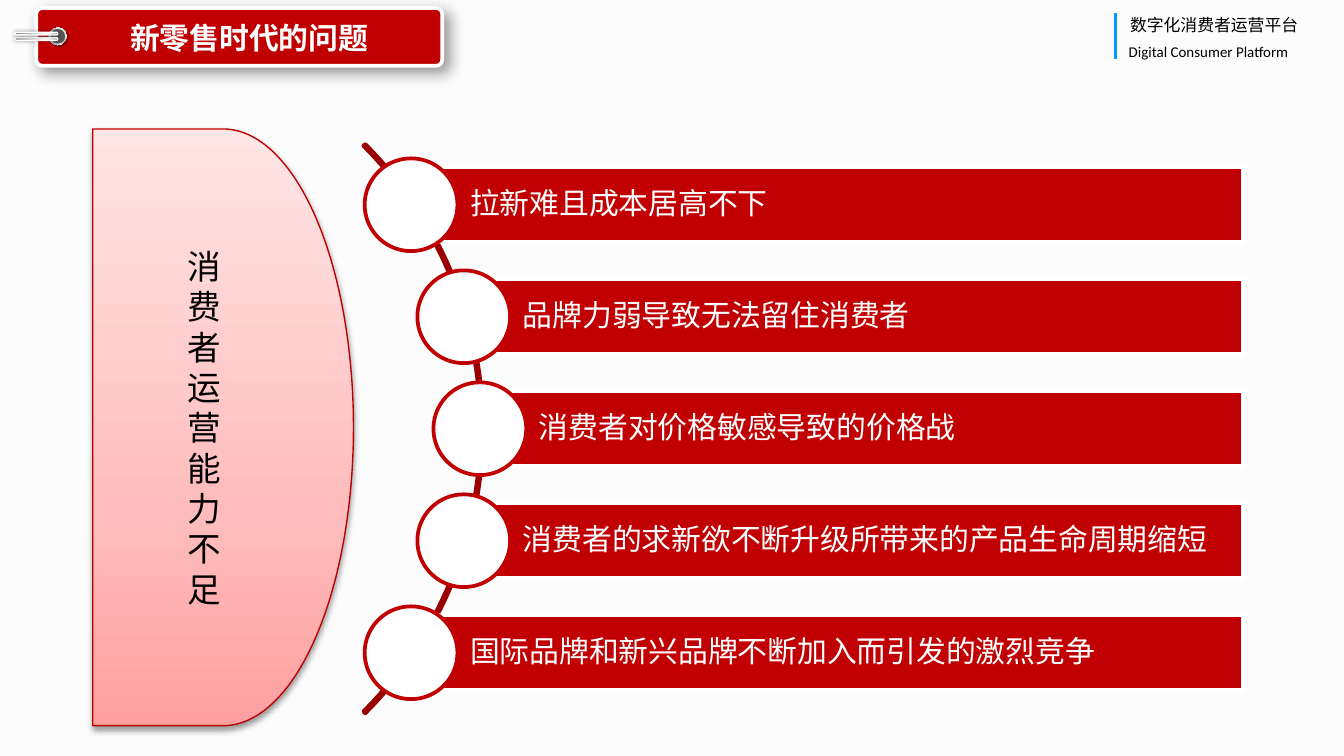
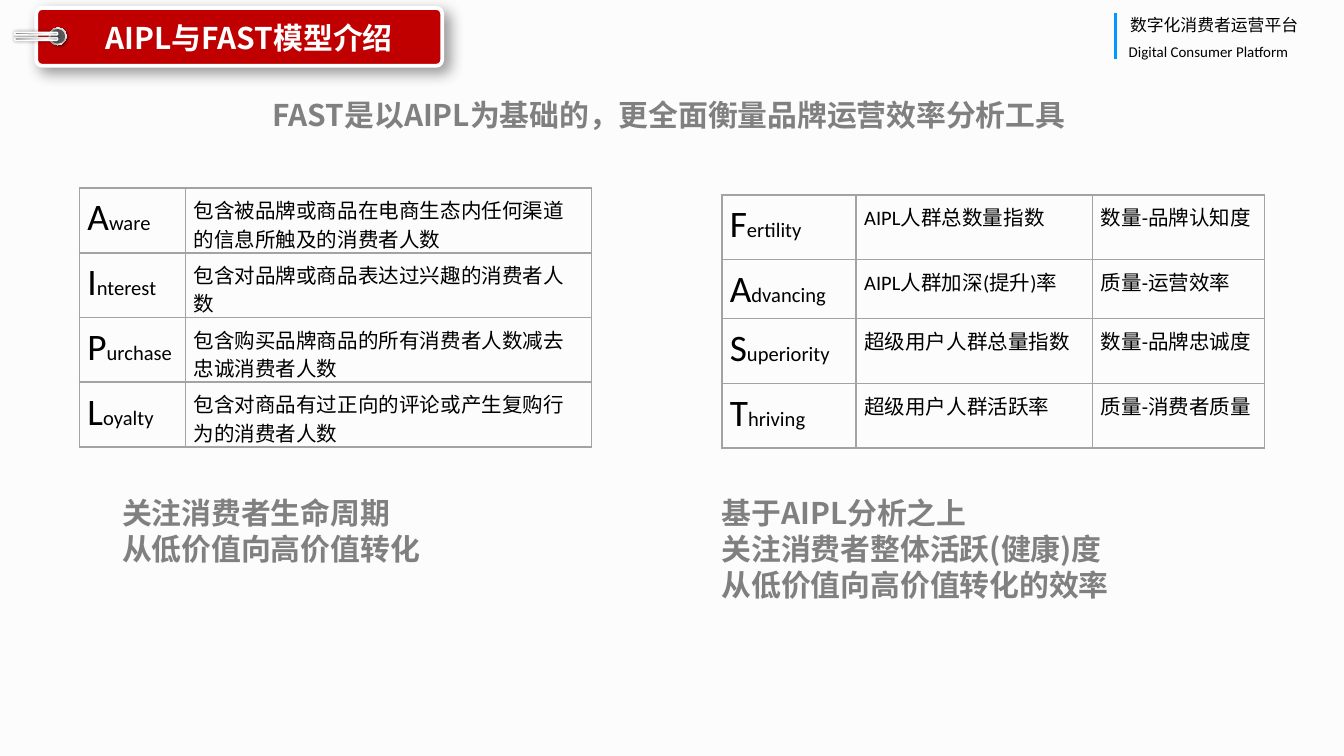
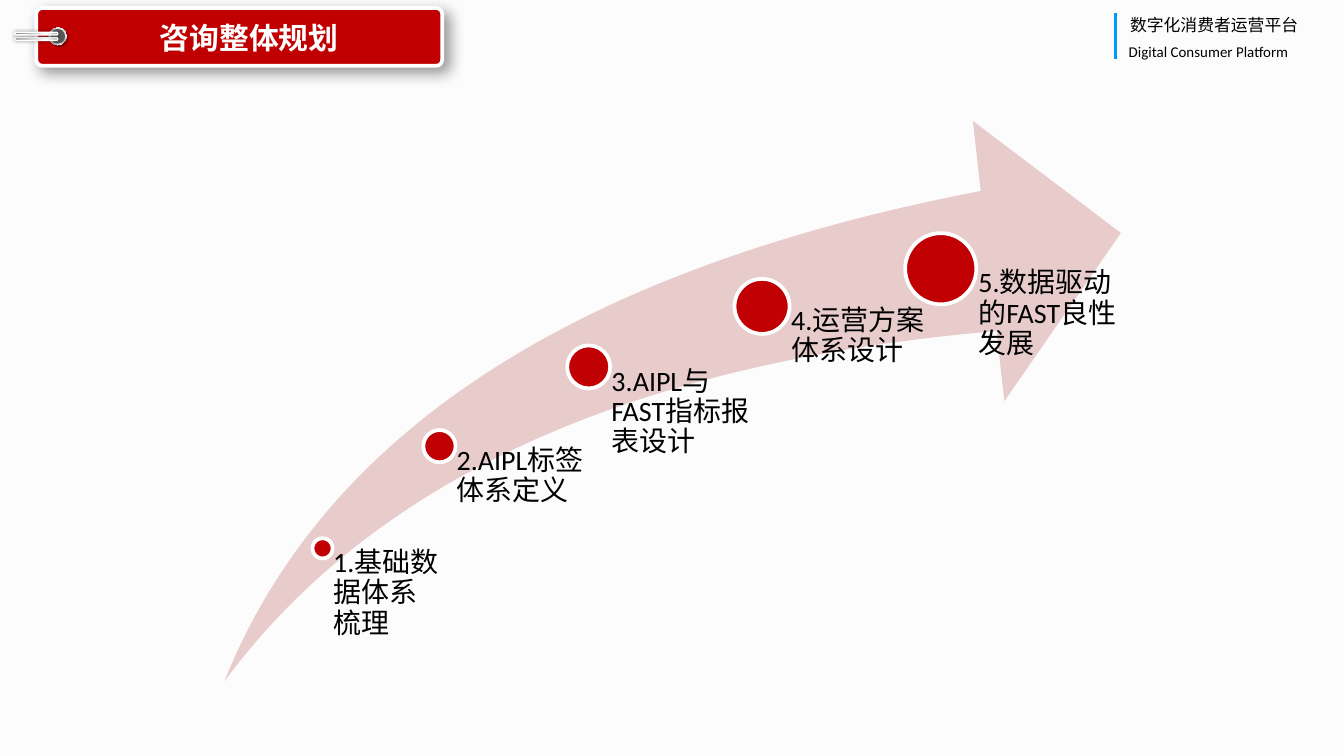
from dataclasses import dataclass
from math import sqrt
from typing import NamedTuple, Optional

from lxml.etree import SubElement
from pptx import Presentation
from pptx.dml.color import RGBColor
from pptx.enum.shapes import MSO_CONNECTOR, MSO_SHAPE as SHAPE
from pptx.enum.text import MSO_ANCHOR as ANCHOR, MSO_AUTO_SIZE as AUTO, PP_ALIGN as ALIGN
from pptx.oxml.ns import qn
from pptx.util import Inches, Pt


@dataclass(frozen=True)
class Theme:
    page: str = "FCFCFC"
    white: str = "FFFFFF"
    black: str = "000000"
    banner: str = "C00000"
    red: str = "C00002"
    arc: str = "9A0002"
    edge: str = "BC0002"
    swoosh: str = "E8CCCC"
    note: str = "808080"
    border: str = "A3A3A3"
    brand: str = "0099FF"
    hole: str = "595959"
    latin: str = "Calibri"
    cjk: str = "Noto Sans CJK SC"
    heading: float = 16
    vertical: float = 18
    step: float = 15
    initial: float = 20
    cell: float = 11
    brand_big: float = 9
    brand_small: float = 8


T = Theme()


class Box(NamedTuple):
    left: float
    top: float
    width: float
    height: float


class Shadow(NamedTuple):
    alpha: int
    blur: float
    dist: float
    angle: int


class Gradient(NamedTuple):
    stops: tuple
    angle: int


class Step(NamedTuple):
    text: str
    x: float
    y: float
    size: float
    width: float


class Grid(NamedTuple):
    left: float
    top: float
    cols: tuple
    heights: tuple
    rows: tuple


RING = Gradient(((0, "FFFFFF"), (17, "A6A6A6"), (35, "F2F2F2"), (55, "A6A6A6"),
                 (75, "F2F2F2"), (100, "A6A6A6")), 45)
PIN = Gradient(((0, "808080"), (23, "A6A6A6"), (52, "D9D9D9"), (74, "FFFFFF"),
                (100, "A6A6A6")), 90)
BLUSH = Gradient(((0, "FFA0A0"), (35, "FFBCBC"), (100, "FFE5E5")), 270)

PROBLEMS = (
    "拉新难且成本居高不下",
    "品牌力弱导致无法留住消费者",
    "消费者对价格敏感导致的价格战",
    "消费者的求新欲不断升级所带来的产品生命周期缩短",
    "国际品牌和新兴品牌不断加入而引发的激烈竞争",
)
AIPL = Grid(0.59, 1.4, (0.79, 3.02), (0.48,) * 4, (
    ("Aware", "包含被品牌或商品在电商生态内任何渠道的信息所触及的消费者人数"),
    ("Interest", "包含对品牌或商品表达过兴趣的消费者人数"),
    ("Purchase", "包含购买品牌商品的所有消费者人数减去忠诚消费者人数"),
    ("Loyalty", "包含对商品有过正向的评论或产生复购行为的消费者人数"),
))
FAST = Grid(5.37, 1.45, (1, 1.76, 1.28), (0.48, 0.44, 0.48, 0.48), (
    ("Fertility", "AIPL人群总数量指数", "数量-品牌认知度"),
    ("Advancing", "AIPL人群加深(提升)率", "质量-运营效率"),
    ("Superiority", "超级用户人群总量指数", "数量-品牌忠诚度"),
    ("Thriving", "超级用户人群活跃率", "质量-消费者质量"),
))
NOTES = (
    (Box(0.91, 3.68, 2.24, 0.54), ("关注消费者生命周期", "从低价值向高价值转化")),
    (Box(5.37, 3.68, 2.92, 0.81),
     ("基于AIPL分析之上", "关注消费者整体活跃(健康)度", "从低价值向高价值转化的效率")),
    (Box(2.03, 0.72, 6, 0.27), ("FAST是以AIPL为基础的，更全面衡量品牌运营效率分析工具",)),
)
STEPS = (
    Step("1.基础数据体系梳理", 2.4, 4.08, 0.15, 0.87),
    Step("2.AIPL标签体系定义", 3.27, 3.32, 0.24, 1.11),
    Step("3.AIPL与FAST指标报表设计", 4.38, 2.73, 0.32, 1.29),
    Step("4.运营方案体系设计", 5.67, 2.28, 0.41, 1.33),
    Step("5.数据驱动的FAST良性发展", 7, 2, 0.53, 1.33),
)


def rgb(color: str) -> RGBColor:
    return RGBColor.from_string(color)


def inches(box: Box) -> list:
    return [Inches(v) for v in box]


def add_run(p, text: str, size: float, color: str = T.black, bold: bool = False,
            latin: str = T.latin, cjk: str = T.latin) -> None:
    r = p.add_run()
    r.text = text
    r.font.size, r.font.bold, r.font.name = Pt(size), bold, latin
    r.font.color.rgb = rgb(color)
    SubElement(r.font._element, qn("a:ea")).set("typeface", cjk)


def write(tf, lines, align=ALIGN.LEFT, anchor=ANCHOR.TOP, insets=(0.1, 0.05, 0.1, 0.05),
          spacing: Optional[float] = None, auto=AUTO.NONE, **font) -> None:
    """Fill a text frame with one paragraph per line; insets run left, top, right, bottom."""
    tf.word_wrap, tf.auto_size, tf.vertical_anchor = True, auto, anchor
    tf.margin_left, tf.margin_top, tf.margin_right, tf.margin_bottom = map(Inches, insets)
    for i, line in enumerate(lines):
        p = tf.add_paragraph() if i else tf.paragraphs[0]
        p.alignment, p.line_spacing = align, spacing
        add_run(p, line, **font)


def add_text(slide, box: Box, lines, **fmt):
    tb = slide.shapes.add_textbox(*inches(box))
    write(tb.text_frame, lines, **fmt)
    return tb


def add_color(parent, color: str, alpha: int = 100) -> None:
    clr = SubElement(parent, qn("a:srgbClr"), val=color)
    if alpha < 100:
        SubElement(clr, qn("a:alpha"), val=str(alpha * 1000))


def set_gradient(sp, gradient: Gradient) -> None:
    sp.fill.gradient()
    grad = sp._element.spPr.find(qn("a:gradFill"))
    stops = grad.find(qn("a:gsLst"))
    stops.clear()
    for pos, color in gradient.stops:
        add_color(SubElement(stops, qn("a:gs"), pos=str(pos * 1000)), color)
    grad.find(qn("a:lin")).set("ang", str(gradient.angle * 60000))


def add_shape(slide, kind, box: Box, fill=None, line: Optional[str] = None, width: float = 2,
              shadow: Optional[Shadow] = None, rotation: float = 0, adj=()):
    sp = slide.shapes.add_shape(kind, *inches(box))
    sp.rotation = rotation
    for i, value in enumerate(adj):
        sp.adjustments[i] = value
    if fill is None:
        sp.fill.background()
    elif isinstance(fill, Gradient):
        set_gradient(sp, fill)
    else:
        sp.fill.solid()
        sp.fill.fore_color.rgb = rgb(fill)
    if line:
        sp.line.color.rgb, sp.line.width = rgb(line), Pt(width)
    else:
        sp.line.fill.background()
    sp.shadow.inherit = False
    if shadow:
        outer = SubElement(sp._element.spPr.find(qn("a:effectLst")), qn("a:outerShdw"),
                           blurRad=str(Pt(shadow.blur)), dist=str(Pt(shadow.dist)),
                           dir=str(shadow.angle * 60000), rotWithShape="0")
        add_color(outer, T.black, shadow.alpha)
    return sp


def add_circle(slide, x: float, y: float, size: float, **style):
    return add_shape(slide, SHAPE.OVAL, Box(x - size / 2, y - size / 2, size, size), **style)


def add_brand(slide, layout) -> None:
    """Draw the platform name, then hand it to the layout so every slide shows it."""
    rule = slide.shapes.add_connector(MSO_CONNECTOR.STRAIGHT, Inches(8.3), Inches(0.1),
                                      Inches(8.3), Inches(0.44))
    rule.line.color.rgb, rule.line.width = rgb(T.brand), Pt(1.5)
    SubElement(rule._element.spPr, qn("a:effectLst"))
    name = add_text(slide, Box(8.31, 0.06, 1.56, 0.25), ["数字化消费者运营平台"],
                    align=ALIGN.JUSTIFY, size=T.brand_big)
    english = add_text(slide, Box(8.3, 0.27, 1.57, 0.24), ["Digital Consumer Platform"],
                       align=ALIGN.JUSTIFY, size=T.brand_small)
    for part in (rule, name, english):
        layout.shapes._spTree.append(part._element)


def add_titled_slide(prs, layout, text: str):
    slide = prs.slides.add_slide(layout)
    add_shape(slide, SHAPE.ROUNDED_RECTANGLE, Box(0.27, 0.06, 3.02, 0.43), T.banner, T.white,
              shadow=Shadow(40, 8, 4, 45), adj=[0.1])
    add_circle(slide, 0.43, 0.27, 0.13, fill=RING, rotation=270, shadow=Shadow(40, 1, 1, 45))
    add_circle(slide, 0.43, 0.27, 0.11, fill=T.hole, rotation=270)
    title = slide.shapes.title
    title.left, title.top, title.width, title.height = inches(Box(0.51, 0.11, 2.69, 0.34))
    write(title.text_frame, [text], align=ALIGN.CENTER, anchor=ANCHOR.MIDDLE,
          insets=(0.07, 0.04, 0.07, 0.04), size=T.heading, color=T.white, bold=True,
          latin=T.cjk, cjk=T.cjk)
    slide.shapes._spTree.append(title._element)
    for top in (0.13, 0.09):
        add_shape(slide, SHAPE.ROUNDED_RECTANGLE, Box(0.26, top, 0.02, 0.32), PIN, T.white, 0.75,
                  shadow=Shadow(40, 2, 0, 0), rotation=270, adj=[0.5])
    return slide


def add_problems(slide) -> None:
    center_x, center_y, size, right = 0.6, 3.19, 5.99, 9.25
    pitch, bar_height, radius = 2.5 / 3, 0.56, 2.97
    add_shape(slide, SHAPE.BLOCK_ARC,
              Box(center_x - size / 2, center_y - size / 2, size, size),
              line=T.arc, adj=[189, 27, 0.02 / size])
    for i, text in enumerate(PROBLEMS):
        dy = (i - len(PROBLEMS) // 2) * pitch
        x, y = center_x + sqrt(radius ** 2 - dy ** 2), center_y + dy
        bar = add_shape(slide, SHAPE.RECTANGLE,
                        Box(x, y - bar_height / 2, right - x, bar_height), T.red, T.white)
        write(bar.text_frame, [text], anchor=ANCHOR.MIDDLE, insets=(0.44, 0.04, 0.04, 0.04),
              spacing=0.9, size=T.heading, color=T.white)
        add_circle(slide, x, y, 0.69, fill=T.white, line=T.red)
    summary = add_shape(slide, SHAPE.FLOWCHART_DELAY, Box(0.69, 0.96, 1.94, 4.44), BLUSH, T.edge,
                        0.75, shadow=Shadow(38, 3.1, 1.6, 90))
    write(summary.text_frame, "消费者运营能力不足", align=ALIGN.CENTER, anchor=ANCHOR.MIDDLE,
          size=T.vertical)


def set_borders(cell) -> None:
    props = cell._tc.get_or_add_tcPr()
    for i, side in enumerate(("lnL", "lnR", "lnT", "lnB")):
        ln = props.makeelement(qn(f"a:{side}"), {"w": str(Pt(1))})
        add_color(SubElement(ln, qn("a:solidFill")), T.border)
        props.insert(i, ln)


def add_grid(slide, grid: Grid) -> None:
    """Draw a model table whose first column has enlarged initials."""
    box = Box(grid.left, grid.top, sum(grid.cols), sum(grid.heights))
    table = slide.shapes.add_table(len(grid.rows), len(grid.cols), *inches(box)).table
    table.first_row = table.horz_banding = False
    for col, width in zip(table.columns, grid.cols):
        col.width = Inches(width)
    for row, height, texts in zip(table.rows, grid.heights, grid.rows):
        row.height = Inches(height)
        for i, (cell, text) in enumerate(zip(row.cells, texts)):
            cell.fill.background()
            set_borders(cell)
            cell.margin_left = cell.margin_top = cell.margin_right = Inches(0.06)
            cell.margin_bottom = 0
            p = cell.text_frame.paragraphs[0]
            p.line_spacing = 0.95
            if i == 0:
                add_run(p, text[0], T.initial, cjk=T.cjk)
                text = text[1:]
            add_run(p, text, T.cell, cjk=T.cjk)


def add_models(slide) -> None:
    for grid in (AIPL, FAST):
        add_grid(slide, grid)
    for box, lines in NOTES:
        add_text(slide, box, lines, insets=(0, 0, 0, 0), auto=AUTO.SHAPE_TO_FIT_TEXT,
                 size=T.heading, color=T.note, bold=True, latin=T.cjk, cjk=T.cjk)


def add_roadmap(slide) -> None:
    arrow = Box(1.67, 0.9, 6.67, 4.17)
    add_shape(slide, SHAPE.SWOOSH_ARROW, arrow, T.swoosh, adj=[0.25, 0.25])
    for step in STEPS:
        add_circle(slide, step.x, step.y, step.size, fill=T.red, line=T.white)
        label = Box(step.x, step.y, step.width, arrow.top + arrow.height - step.y)
        add_text(slide, label, [step.text], insets=(step.size * 0.53, 0, 0, 0), spacing=0.9,
                 size=T.step)


def main() -> None:
    prs = Presentation()
    prs.slide_width = Inches(10)
    prs.slide_height = prs.slide_width * 9 // 16
    background = prs.slide_master.background.fill
    background.solid()
    background.fore_color.rgb = rgb(T.page)
    layout = prs.slide_layouts.get_by_name("Title Only")
    pages = (("新零售时代的问题", add_problems), ("AIPL与FAST模型介绍", add_models),
             ("咨询整体规划", add_roadmap))
    for title, add_content in pages:
        add_content(add_titled_slide(prs, layout, title))
    add_brand(prs.slides[0], layout)
    prs.save("out.pptx")


if __name__ == "__main__":
    main()
